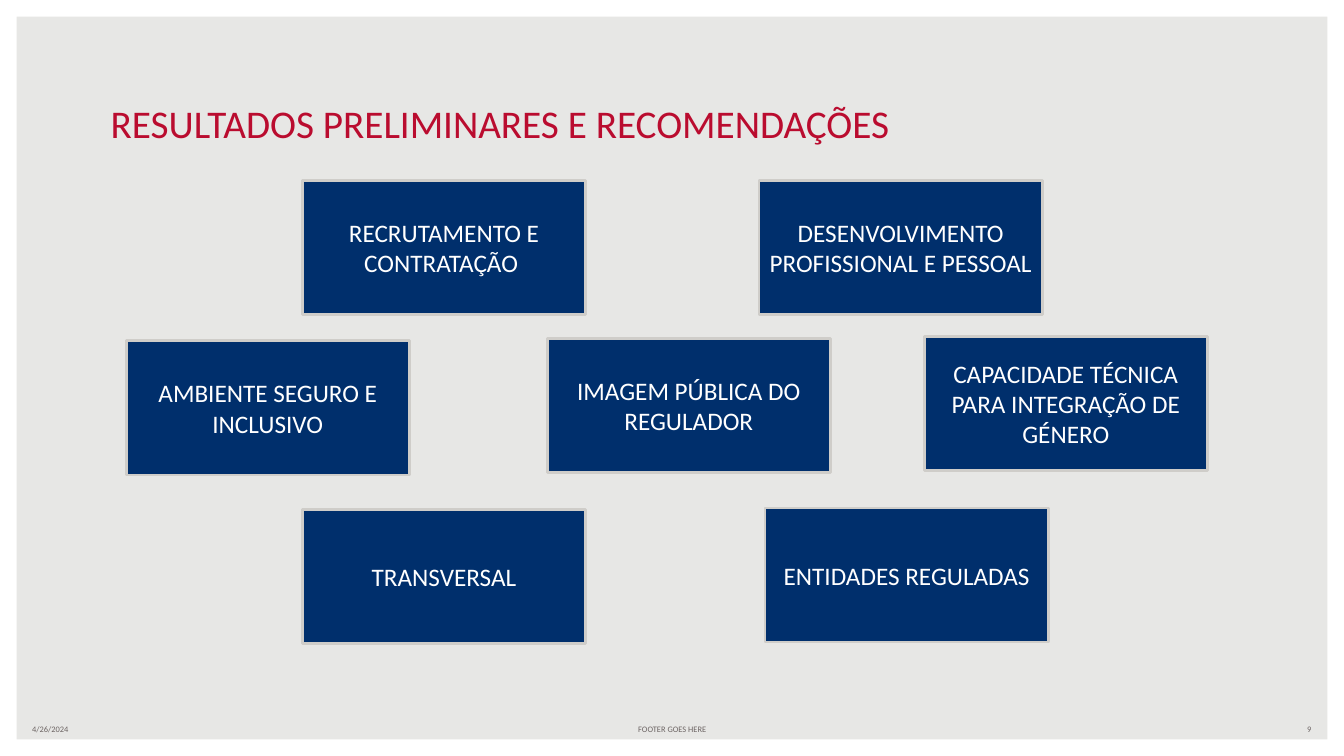
"""Build the slide of preliminary results and recommendations."""
from dataclasses import dataclass

import pptx
import pptx.dml.color
import pptx.enum.shapes
import pptx.enum.text
import pptx.shapes.autoshape
import pptx.slide
import pptx.util

Cm = pptx.util.Cm
Align = pptx.enum.text.PP_ALIGN
Anchor = pptx.enum.text.MSO_ANCHOR
Preset = pptx.enum.shapes.MSO_SHAPE

SLIDE_WIDTH, SLIDE_HEIGHT = 33.87, 19.05
CARD_WIDTH, CARD_HEIGHT = 7.14, 3.38
FOOTER_TOP, FOOTER_HEIGHT = 18.11, 0.51


@dataclass
class Card:
    left: float
    top: float
    text: str


@dataclass
class Label:
    left: float
    top: float
    width: float
    height: float
    text: str
    size: float
    color: str
    align: Align = Align.LEFT
    anchor: Anchor = Anchor.MIDDLE


CARDS = [
    Card(19.28, 12.8, "ENTIDADES REGULADAS"),
    Card(7.62, 12.83, "TRANSVERSAL"),
    Card(13.79, 8.53, "IMAGEM PÚBLICA DO REGULADOR"),
    Card(3.18, 8.59, "AMBIENTE SEGURO E INCLUSIVO"),
    Card(23.29, 8.48, "CAPACIDADE TÉCNICA PARA INTEGRAÇÃO DE GÉNERO"),
    Card(19.13, 4.55, "DESENVOLVIMENTO PROFISSIONAL E PESSOAL"),
    Card(7.62, 4.55, "RECRUTAMENTO E CONTRATAÇÃO "),
]

LABELS = [
    Label(0.56, FOOTER_TOP, 7.9, FOOTER_HEIGHT, "4/26/2024", 6, "6C6463"),
    Label(11.58, FOOTER_TOP, 10.72, FOOTER_HEIGHT, "FOOTER GOES HERE", 6, "6C6463", Align.CENTER),
    Label(25.4, FOOTER_TOP, 7.9, FOOTER_HEIGHT, "9", 6, "6C6463", Align.RIGHT),
    Label(2.54, 2.36, 28.78, 1.45, "RESULTADOS PRELIMINARES E RECOMENDAÇÕES", 28, "BA0C2F",
          anchor=Anchor.BOTTOM),
]


def rgb(code: str) -> pptx.dml.color.RGBColor:
    return pptx.dml.color.RGBColor.from_string(code)


def write(box: pptx.shapes.autoshape.Shape, text: str, size: float, color: str,
          align: Align, anchor: Anchor) -> None:
    frame = box.text_frame
    frame.word_wrap = True
    frame.vertical_anchor = anchor
    para = frame.paragraphs[0]
    para.text = text
    para.alignment = align
    para.font.name = "Calibri"
    para.font.size = pptx.util.Pt(size)
    para.font.color.rgb = rgb(color)


def draw_border(page: pptx.slide.Slide) -> None:
    border = page.shapes.add_shape(Preset.FRAME, 0, 0, Cm(SLIDE_WIDTH), Cm(SLIDE_HEIGHT))
    border.adjustments[0] = 0.022
    border.shadow.inherit = False
    border.fill.solid()
    border.fill.fore_color.rgb = rgb("FFFFFF")
    border.line.fill.background()


def draw_label(page: pptx.slide.Slide, label: Label) -> None:
    box = page.shapes.add_textbox(Cm(label.left), Cm(label.top), Cm(label.width), Cm(label.height))
    write(box, label.text, label.size, label.color, label.align, label.anchor)


def draw_card(page: pptx.slide.Slide, card: Card) -> None:
    box = page.shapes.add_shape(Preset.RECTANGLE, Cm(card.left), Cm(card.top),
                                Cm(CARD_WIDTH), Cm(CARD_HEIGHT))
    box.shadow.inherit = False
    box.fill.solid()
    box.fill.fore_color.rgb = rgb("002F6C")
    box.line.color.rgb = rgb("CFCDC9")
    box.line.width = pptx.util.Pt(2)
    write(box, card.text, 18, "FFFFFF", Align.CENTER, Anchor.MIDDLE)


def main() -> None:
    deck = pptx.Presentation()
    deck.slide_width, deck.slide_height = Cm(SLIDE_WIDTH), Cm(SLIDE_HEIGHT)
    page = deck.slides.add_slide(deck.slide_layouts[6])
    page.background.fill.solid()
    page.background.fill.fore_color.rgb = rgb("E7E7E5")
    draw_border(page)
    for label in LABELS:
        draw_label(page, label)
    for card in CARDS:
        draw_card(page, card)
    deck.save("out.pptx")


if __name__ == "__main__":
    main()
